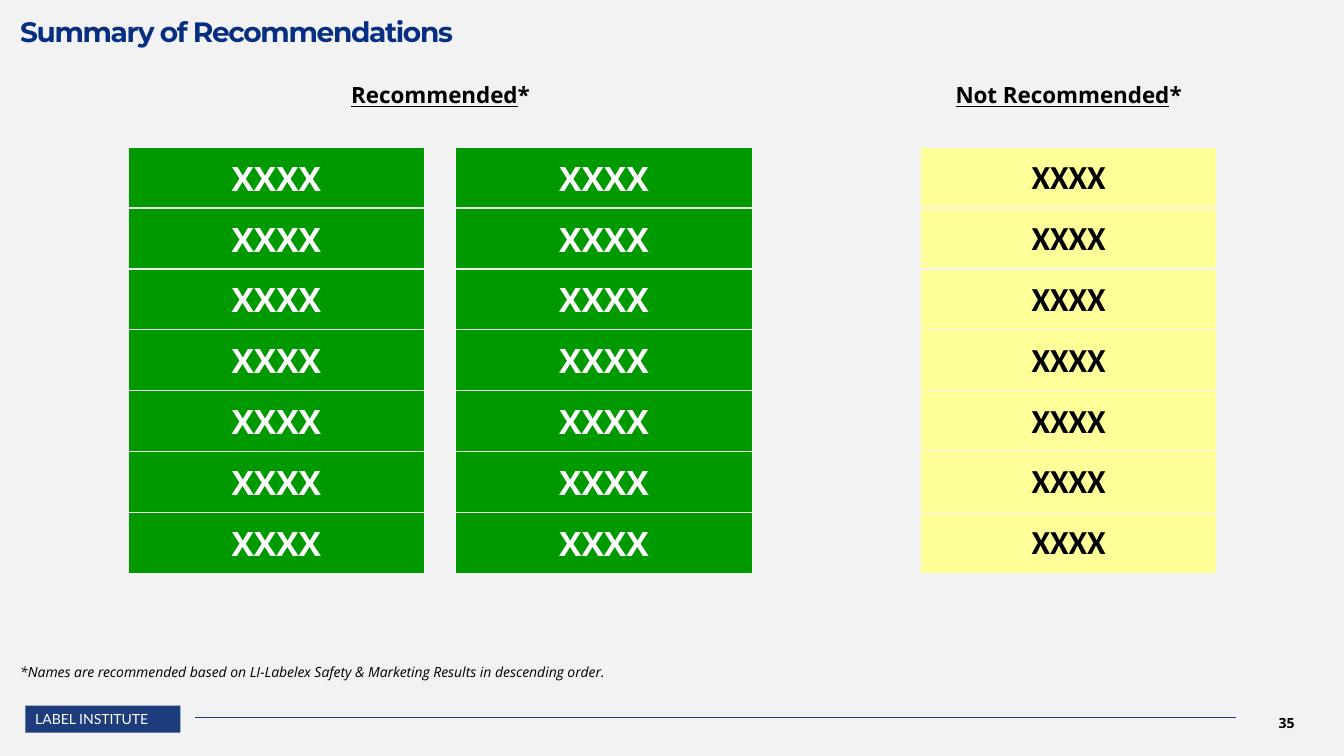
"""Build the summary slide of recommended and not recommended names."""
import pptx
import pptx.dml.color
import pptx.enum.shapes
import pptx.enum.text
import pptx.oxml
import pptx.oxml.ns
import pptx.util

SLIDE_WIDTH = pptx.util.Inches(13.33)
SLIDE_HEIGHT = pptx.util.Inches(7.5)
COLOURS = {
    "background": "F2F2F2",
    "title": "062E83",
    "footer": "1D3C7C",
    "recommended": "009900",
    "not_recommended": "FFFF99",
    "black": "000000",
    "white": "FFFFFF",
}
ALIGN = pptx.enum.text.PP_ALIGN
MIDDLE = pptx.enum.text.MSO_ANCHOR.MIDDLE
NAMES = ["XXXX"] * 7
TABLE_TOP, TABLE_WIDTH, TABLE_HEIGHT = 19.47, 22.06, 56.4
FIRST_COLUMN, COLUMN_PITCH, LAST_COLUMN = 9.53, 24.38, 68.49


def colour(name):
    return pptx.dml.color.RGBColor.from_string(COLOURS[name])


def across(percent):
    return round(SLIDE_WIDTH * percent / 100)


def down(percent):
    return round(SLIDE_HEIGHT * percent / 100)


def area(left, top, width, height):
    return across(left), down(top), across(width), down(height)


def add_run(paragraph, text, font, size, ink, bold=False, italic=False, underline=False):
    run = paragraph.add_run()
    run.text = text
    run.font.name = font
    run.font.size = pptx.util.Pt(size)
    run.font.color.rgb = colour(ink)
    run.font.bold = bold
    run.font.italic = italic
    run.font.underline = underline
    return run


def set_insets(holder, left, top, right, bottom):
    holder.margin_left = pptx.util.Inches(left)
    holder.margin_top = pptx.util.Inches(top)
    holder.margin_right = pptx.util.Inches(right)
    holder.margin_bottom = pptx.util.Inches(bottom)


def add_text_box(slide, place, insets):
    frame = slide.shapes.add_textbox(*area(*place)).text_frame
    frame.word_wrap = True
    set_insets(frame, *insets)
    return frame


def add_title(slide, text):
    frame = add_text_box(slide, (1.5, 0, 96.17, 6.4), (0, 0.21, 0, 0))
    paragraph = frame.paragraphs[0]
    paragraph.line_spacing = 0.8
    run = add_run(paragraph, text, "Montserrat", 20, "title", bold=True)
    run.font._element.set("spc", "-100")


def add_heading(slide, text, left, width):
    frame = add_text_box(slide, (left, 9.87, width, 4.13), (0, 0, 0, 0))
    paragraph = frame.paragraphs[0]
    paragraph.alignment = ALIGN.CENTER
    paragraph.line_spacing = 1.25
    add_run(paragraph, text, "Open Sans", 16, "black", bold=True, underline=True)
    add_run(paragraph, "*", "Open Sans", 16, "black", bold=True)


def add_cell_borders(cell):
    properties = cell._tc.get_or_add_tcPr()
    for position, side in enumerate(("lnL", "lnR", "lnT", "lnB")):
        border = pptx.oxml.parse_xml(
            f'<a:{side} {pptx.oxml.ns.nsdecls("a")} w="12700"><a:solidFill>'
            f'<a:srgbClr val="{COLOURS["background"]}"/></a:solidFill></a:{side}>'
        )
        properties.insert(position, border)


def add_name_table(slide, left, fill, font, ink):
    place = area(left, TABLE_TOP, TABLE_WIDTH, TABLE_HEIGHT)
    table = slide.shapes.add_table(len(NAMES), 1, *place).table
    table.first_row = False
    table.horz_banding = False
    for row, name in enumerate(NAMES):
        cell = table.cell(row, 0)
        cell.fill.solid()
        cell.fill.fore_color.rgb = colour(fill)
        cell.vertical_anchor = MIDDLE
        set_insets(cell, 0.01, 0.01, 0.01, 0)
        add_cell_borders(cell)
        paragraph = cell.text_frame.paragraphs[0]
        paragraph.alignment = ALIGN.CENTER
        add_run(paragraph, name, font, 24, ink, bold=True)


def add_footnote(slide, text):
    frame = add_text_box(slide, (1.5, 87.07, 49.06, 4), (0, 0.05, 0.1, 0.05))
    add_run(frame.paragraphs[0], text, "Open Sans", 10, "black", italic=True)


def add_footer(slide, owner, number):
    badge = slide.shapes.add_shape(
        pptx.enum.shapes.MSO_SHAPE.RECTANGLE, *area(1.88, 93.33, 11.55, 3.6)
    )
    badge.shadow.inherit = False
    badge.fill.solid()
    badge.fill.fore_color.rgb = colour("footer")
    badge.line.fill.background()
    badge.text_frame.word_wrap = False
    badge.text_frame.vertical_anchor = MIDDLE
    paragraph = badge.text_frame.paragraphs[0]
    paragraph.alignment = ALIGN.LEFT
    add_run(paragraph, owner, "Lato", 10, "white")

    rule = slide.shapes.add_connector(
        pptx.enum.shapes.MSO_CONNECTOR.STRAIGHT,
        across(14.48), down(94.93), across(91.97), down(94.93),
    )
    rule.line.color.rgb = colour("footer")
    rule.line.width = pptx.util.Pt(0.5)
    rule._element.spPr.append(
        pptx.oxml.parse_xml(f'<a:effectLst {pptx.oxml.ns.nsdecls("a")}/>')
    )

    frame = add_text_box(slide, (91.6, 92.93, 8.25, 5.33), (0.1, 0.05, 0.1, 0.05))
    frame.vertical_anchor = MIDDLE
    frame.paragraphs[0].alignment = ALIGN.CENTER
    add_run(frame.paragraphs[0], number, "Open Sans", 10, "black", bold=True)


def main():
    presentation = pptx.Presentation()
    presentation.slide_width = SLIDE_WIDTH
    presentation.slide_height = SLIDE_HEIGHT
    slide = presentation.slides.add_slide(presentation.slide_layouts[6])
    slide.background.fill.solid()
    slide.background.fill.fore_color.rgb = colour("background")

    add_footer(slide, "LABEL INSTITUTE", "35")
    add_title(slide, "Summary of Recommendations")
    add_heading(slide, "Recommended", 25.13, 15.3)
    add_heading(slide, "Not Recommended", 70.74, 17.55)
    for column in range(2):
        left = FIRST_COLUMN + column * COLUMN_PITCH
        add_name_table(slide, left, "recommended", "Open Sans", "white")
    add_name_table(slide, LAST_COLUMN, "not_recommended", "Calibri", "black")
    add_footnote(
        slide,
        "*Names are recommended based on LI-Labelex Safety & Marketing Results "
        "in descending order.",
    )
    presentation.save("out.pptx")


if __name__ == "__main__":
    main()
